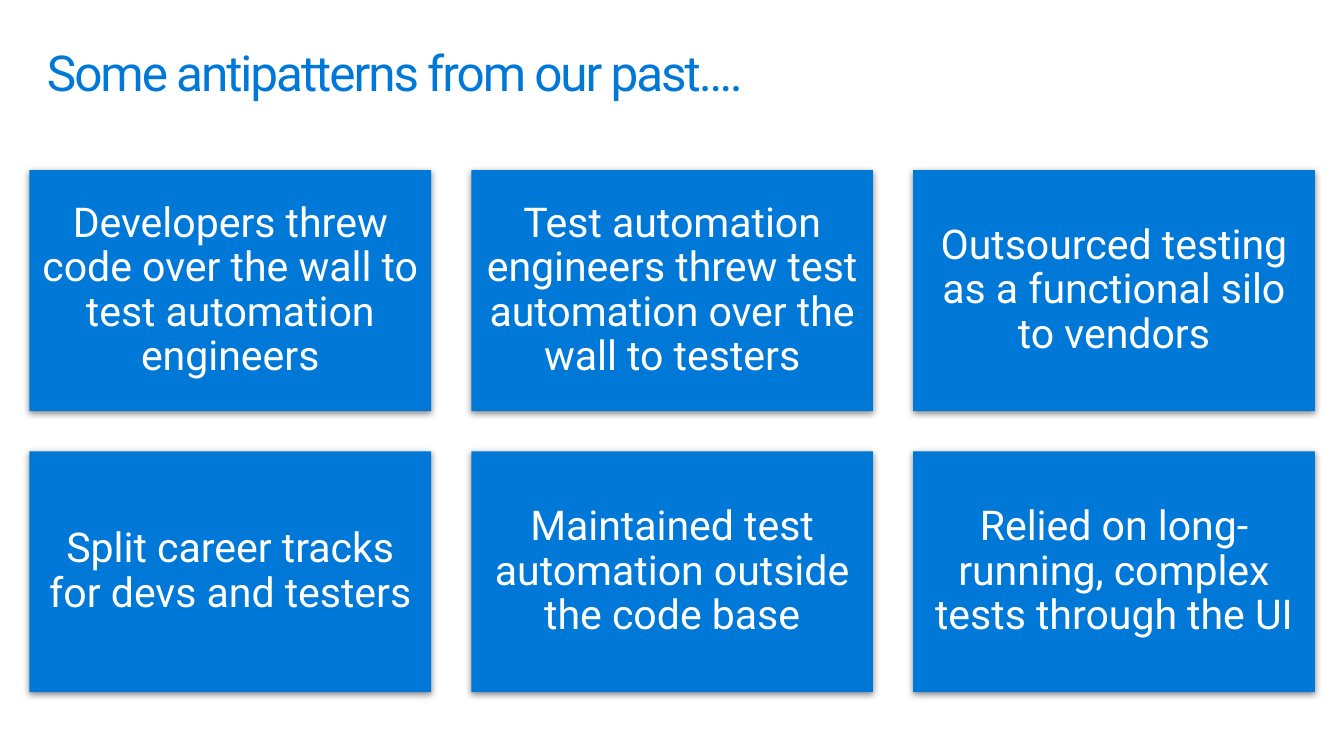
from lxml import etree
from pptx import Presentation
from pptx.dml.color import RGBColor
from pptx.enum.shapes import MSO_SHAPE
from pptx.enum.text import MSO_ANCHOR, PP_ALIGN
from pptx.oxml import parse_xml
from pptx.util import Pt

RECT = MSO_SHAPE.RECTANGLE
TOP, MIDDLE = MSO_ANCHOR.TOP, MSO_ANCHOR.MIDDLE
LEFT, CENTER = PP_ALIGN.LEFT, PP_ALIGN.CENTER
BLUE, WHITE = "0078D7", "FFFFFF"

SHADOW = """
<a:effectLst xmlns:a="http://schemas.openxmlformats.org/drawingml/2006/main">
  <a:outerShdw blurRad="44450" dist="13970" dir="5400000" algn="ctr" rotWithShape="0">
    <a:srgbClr val="000000"><a:alpha val="45000"/></a:srgbClr>
  </a:outerShdw>
</a:effectLst>"""

CARDS = [
    "Developers threw code over the wall to test automation engineers",
    "Test automation engineers threw test automation over the wall to testers",
    "Outsourced testing as a functional silo to vendors",
    "Split career tracks for devs and testers",
    "Maintained test automation outside the code base",
    "Relied on long-running, complex tests through the UI",
]


def color(text):
    return RGBColor.from_string(text)


def write(shape, text, size, tint, align, anchor, insets):
    """Fill the shape with one run; insets are left, top, right, bottom."""
    frame = shape.text_frame
    frame.word_wrap = True
    frame.vertical_anchor = anchor
    (frame.margin_left, frame.margin_top,
     frame.margin_right, frame.margin_bottom) = [Pt(n) for n in insets]
    para = frame.paragraphs[0]
    para.alignment = align
    para.line_spacing = 0.9
    run = para.add_run()
    run.text = text
    run.font.name = "Roboto"
    run.font.size = Pt(size)
    run.font.color.rgb = color(tint)
    return run


deck = Presentation()
deck.slide_width, deck.slide_height = Pt(720), Pt(405)
slide = deck.slides.add_slide(deck.slide_layouts[6])
slide.background.fill.solid()
slide.background.fill.fore_color.rgb = color(WHITE)

# Title
title = slide.shapes.add_textbox(Pt(25.2), Pt(13), Pt(669.6), Pt(44))
run = write(title, "Some antipatterns from our past….", 26.5, BLUE,
            LEFT, TOP, (0, 13, 0, 0))
run.font._element.set("spc", "-110")

# Cards, three to a row with equal gaps
wide, high, gap = 215.2, 129.1, 21.5
for i, text in enumerate(CARDS):
    row, col = divmod(i, 3)
    card = slide.shapes.add_shape(
        RECT, Pt(15.8 + col * (wide + gap)), Pt(91.2 + row * (high + gap)),
        Pt(wide), Pt(high))
    card.fill.solid()
    card.fill.fore_color.rgb = color(BLUE)
    card.line.fill.background()
    card._element.spPr.append(parse_xml(etree.tostring(etree.XML(SHADOW))))
    write(card, text, 22, WHITE, CENTER, MIDDLE, (6.6,) * 4)

deck.save("out.pptx")
